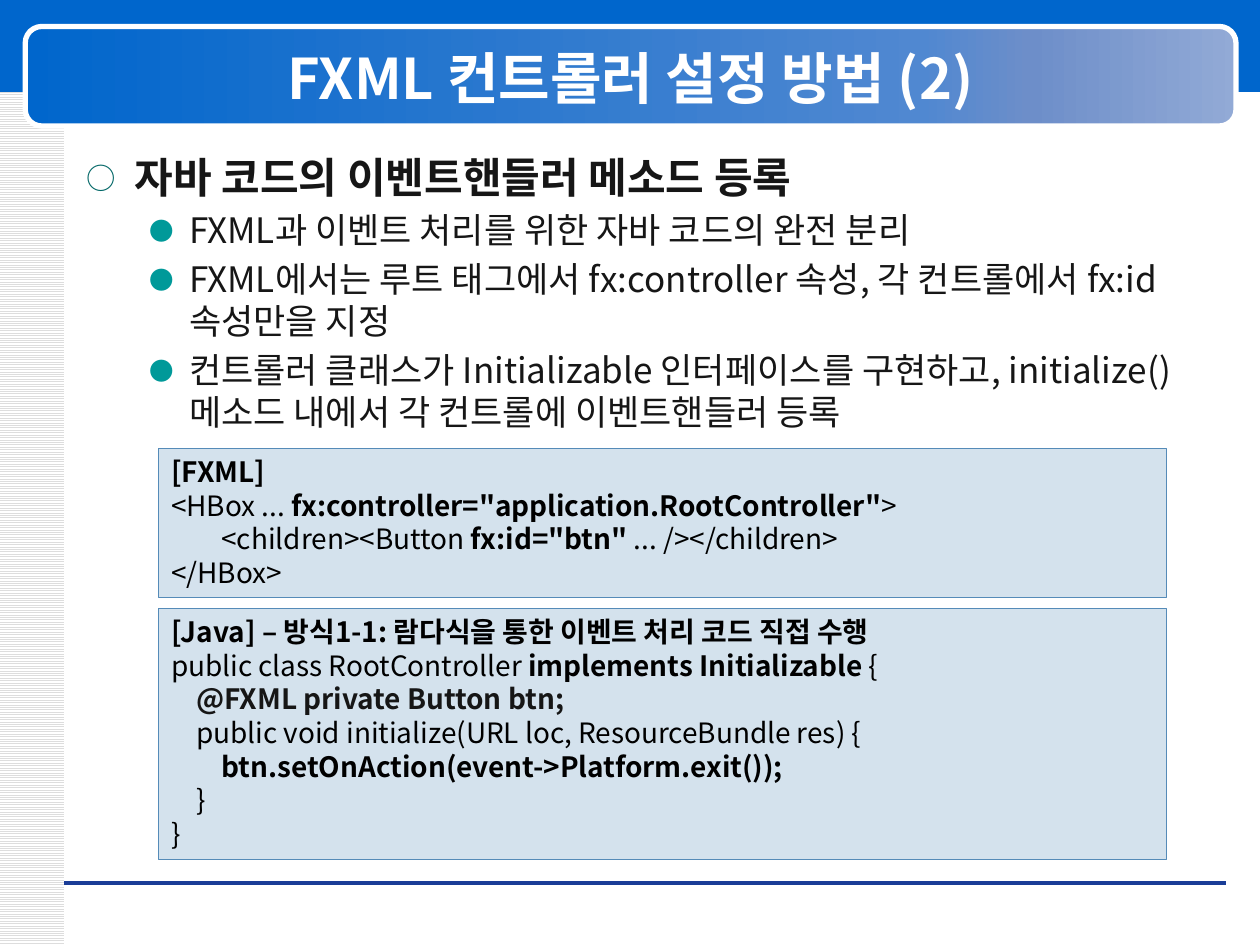
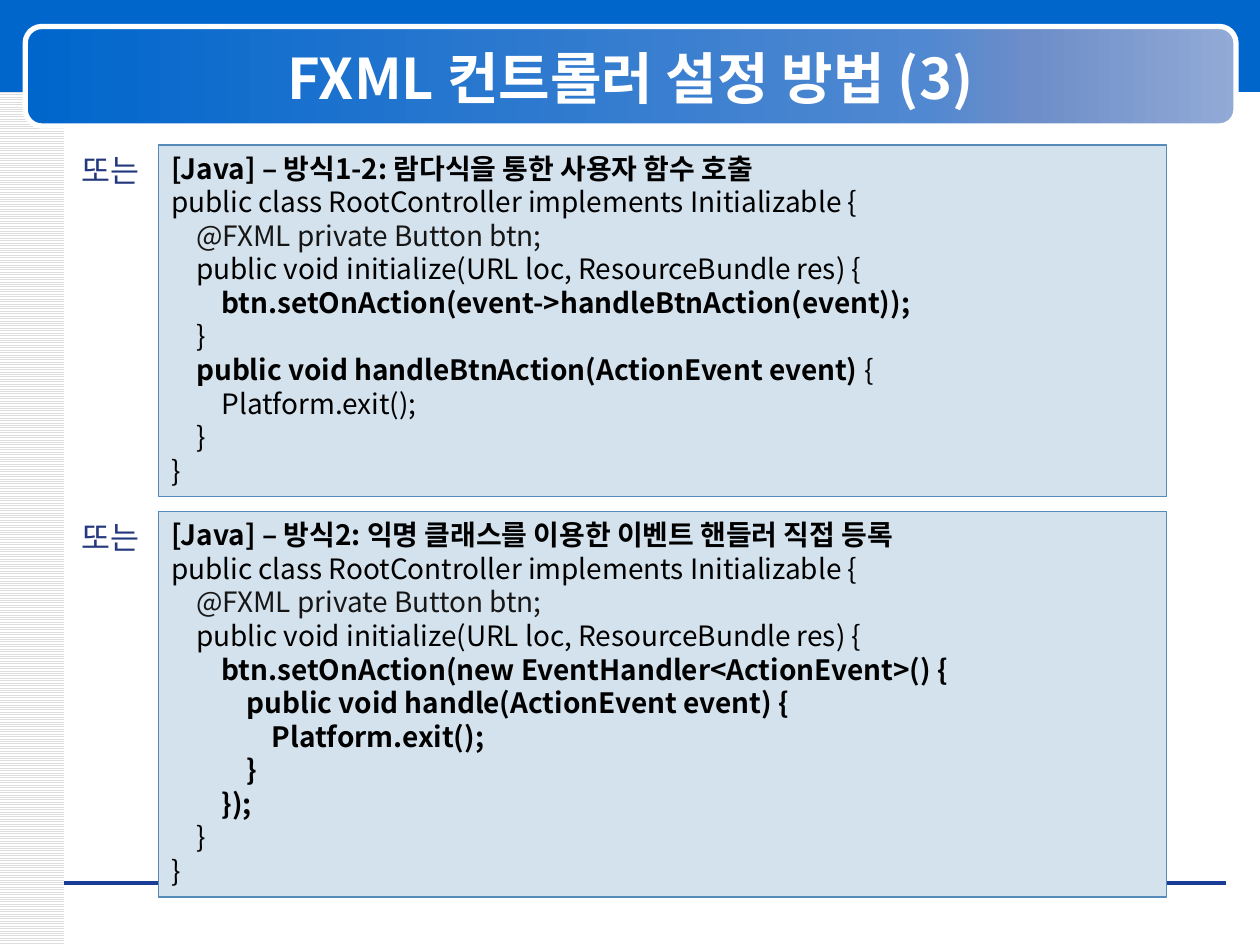
from lxml import etree
from pptx import Presentation
from pptx import util as u
from pptx.dml import color
from pptx.enum import dml, shapes, text
from pptx.oxml import ns

COLORS = {
    "band": "0066CC", "white": "FFFFFF", "stripe": "DDDDDD", "rule": "1A3D97",
    "ink": "161616", "code": "000000", "box": "D4E2ED", "box_line": "558BB8",
    "label": "23387D", "bullet_main": "006666", "bullet_sub": "009999",
}
TITLE_GRADIENT = [(0, "0066CC"), (74, "5088D1"), (83, "6D8EC9"), (100, "92AAD6")]
FONT = "Noto Sans CJK KR"
LABEL_FONT = "DejaVu Sans"
LINE_FACTOR = 1.2
TAB_STEP = 0.2
CODE_LEFT, CODE_WIDTH = 1.26, 8

TOPICS = [
    "FXML과 이벤트 처리를 위한 자바 코드의 완전 분리",
    "FXML에서는 루트 태그에서 fx:controller 속성, 각 컨트롤에서 fx:id 속성만을 지정",
    "컨트롤러 클래스가 Initializable 인터페이스를 구현하고, initialize() 메소드 내에서 각 컨트롤에 이벤트핸들러 등록",
]
FXML_CODE = [
    "**[FXML]**",
    '<HBox ... **fx:controller="application.RootController"**>',
    '\t\t<children><Button **fx:id="btn" **... /></children>',
    "</HBox>",
]
INITIALIZE_LINE = "\tpublic void initialize(URL loc, ResourceBundle res) {"
CLASS_START = [
    "public class RootController implements Initializable {",
    "\t@FXML private Button btn;",
    INITIALIZE_LINE,
]
CLASS_END = ["\t}", "}"]
DIRECT_LAMBDA = [
    "**[Java] – 방식1-1: 람다식을 통한 이벤트 처리 코드 직접 수행**",
    "public class RootController **implements Initializable **{",
    "**\t@FXML private Button btn;**",
    INITIALIZE_LINE,
    "\t\t**btn.setOnAction(event->Platform.exit());**",
    *CLASS_END,
]
METHOD_LAMBDA = [
    "**[Java] – 방식1-2: 람다식을 통한 사용자 함수 호출**",
    *CLASS_START,
    "\t\t**btn.setOnAction(event->handleBtnAction(event));**",
    "\t}",
    "\t**public void handleBtnAction(ActionEvent event) **{",
    "\t\tPlatform.exit();",
    *CLASS_END,
]
ANONYMOUS_CLASS = [
    "**[Java] – 방식2: 익명 클래스를 이용한 이벤트 핸들러 직접 등록**",
    *CLASS_START,
    "\t\t**btn.setOnAction(new EventHandler<ActionEvent>() {**",
    "**\t\t\tpublic void handle(ActionEvent event) {**",
    "**\t\t\t\tPlatform.exit();**",
    "**\t\t\t}**",
    "**\t\t});**",
    *CLASS_END,
]


def rgb(name):
    return color.RGBColor.from_string(COLORS[name])


def place(shape, left, top, width, height):
    shape.left, shape.top = u.Inches(left), u.Inches(top)
    shape.width, shape.height = u.Inches(width), u.Inches(height)


def add_child(parent, tag, **attributes):
    return etree.SubElement(parent, ns.qn(tag), {key: str(value) for key, value in attributes.items()})


def write_paragraph(frame, content, size=16, ink="code", font=FONT,
                    align=text.PP_ALIGN.LEFT, level=0, space_before=0):
    first = frame.paragraphs[0]
    paragraph = frame.add_paragraph() if first.runs else first
    paragraph.alignment = align
    paragraph.level = level
    paragraph.line_spacing = u.Pt(size * LINE_FACTOR)
    paragraph.space_before = u.Pt(space_before)
    for index, part in enumerate(content.split("**")):
        if part:
            run = paragraph.add_run()
            run.text = part
            run.font.size = u.Pt(size)
            run.font.bold = index % 2 == 1
            run.font.name = font
            run.font.color.rgb = rgb(ink)
            add_child(run.font._element, "a:ea", typeface=font)
    return paragraph


def set_bullet(paragraph, mark, mark_color, margin, hanging):
    properties = paragraph._p.get_or_add_pPr()
    properties.set("marL", str(u.Inches(margin)))
    properties.set("indent", str(-u.Inches(hanging)))
    add_child(add_child(properties, "a:buClr"), "a:srgbClr", val=COLORS[mark_color])
    add_child(properties, "a:buSzPct", val=70000)
    add_child(properties, "a:buFont", typeface=FONT)
    add_child(properties, "a:buChar", char=mark)


def set_tabs(paragraph):
    tabs = add_child(paragraph._p.get_or_add_pPr(), "a:tabLst")
    for step in range(1, 5):
        add_child(tabs, "a:tab", pos=u.Inches(step * TAB_STEP), algn="l")


def add_box(slide, left, top, width, height, fill=None, line=None, line_width=0.75,
            kind=shapes.MSO_SHAPE.RECTANGLE):
    box = slide.shapes.add_shape(kind, *map(u.Inches, (left, top, width, height)))
    box.shadow.inherit = False
    if fill:
        box.fill.solid()
        box.fill.fore_color.rgb = rgb(fill)
    if line:
        box.line.color.rgb = rgb(line)
        box.line.width = u.Pt(line_width)
    else:
        box.line.fill.background()
    return box


def fill_title_gradient(box):
    box.fill.gradient()
    box.fill.gradient_angle = 0
    stops = box._element.spPr.find(".//" + ns.qn("a:gsLst"))
    stops.clear()
    for position, value in TITLE_GRADIENT:
        add_child(add_child(stops, "a:gs", pos=position * 1000), "a:srgbClr", val=value)


def build_master_frame(presentation, slide):
    stripes = add_box(slide, 0, 0, 0.51, 7.5)
    stripes.fill.patterned()
    stripes.fill.pattern = dml.MSO_PATTERN.LIGHT_HORIZONTAL
    stripes.fill.fore_color.rgb = rgb("stripe")
    stripes.fill.back_color.rgb = rgb("white")
    band = add_box(slide, 0, -0.03, 10, 0.76, fill="band")
    rule = slide.shapes.add_connector(
        shapes.MSO_CONNECTOR.STRAIGHT, *map(u.Inches, (0.51, 7.01, 9.73, 7.01)))
    rule.line.color.rgb = rgb("rule")
    rule.line.width = u.Pt(0)
    add_child(rule._element.spPr, "a:effectLst")
    title_bar = add_box(slide, 0.2, 0.21, 9.61, 0.79, line="white", line_width=3,
                        kind=shapes.MSO_SHAPE.ROUNDED_RECTANGLE)
    title_bar.adjustments[0] = 0.167
    fill_title_gradient(title_bar)
    master_tree = presentation.slide_master.shapes._spTree
    for index, part in enumerate((stripes, band, rule, title_bar)):
        part._element.xpath(".//p:cNvPr")[0].set("id", str(100 + index))
        master_tree.insert(2 + index, part._element)


def add_titled_slide(presentation, layout_index, title):
    slide = presentation.slides.add_slide(presentation.slide_layouts[layout_index])
    holder = slide.shapes.title
    place(holder, 0.28, 0.3, 9.45, 0.62)
    frame = holder.text_frame
    frame.auto_size = text.MSO_AUTO_SIZE.NONE
    frame.vertical_anchor = text.MSO_ANCHOR.MIDDLE
    write_paragraph(frame, f"**{title}**", size=32, ink="white", align=text.PP_ALIGN.CENTER)
    return slide


def fill_topics(slide, heading, topics):
    body = slide.placeholders[1]
    place(body, 0.59, 1.15, 8.9, 5.75)
    frame = body.text_frame
    frame.auto_size = text.MSO_AUTO_SIZE.NONE
    paragraph = write_paragraph(frame, f"**{heading}**", size=24, ink="ink", space_before=4.8)
    set_bullet(paragraph, "○", "bullet_main", 0.38, 0.38)
    for topic in topics:
        paragraph = write_paragraph(frame, topic, size=20, ink="ink", level=1, space_before=4)
        set_bullet(paragraph, "●", "bullet_sub", 0.81, 0.31)


def add_code(slide, top, height, lines):
    box = add_box(slide, CODE_LEFT, top, CODE_WIDTH, height, fill="box", line="box_line")
    frame = box.text_frame
    frame.word_wrap = True
    frame.vertical_anchor = text.MSO_ANCHOR.TOP
    for line in lines:
        set_tabs(write_paragraph(frame, line, ink="ink" if "@FXML" in line else "code"))


def add_label(slide, top, content):
    label = slide.shapes.add_textbox(*map(u.Inches, (0.55, top, 0.71, 0.4)))
    label.text_frame.word_wrap = False
    label.text_frame.auto_size = text.MSO_AUTO_SIZE.SHAPE_TO_FIT_TEXT
    write_paragraph(label.text_frame, content, size=18, ink="label", font=LABEL_FONT)


def main():
    presentation = Presentation()
    presentation.slide_width, presentation.slide_height = u.Inches(10), u.Inches(7.5)

    slide = add_titled_slide(presentation, 1, "FXML 컨트롤러 설정 방법 (2)")
    build_master_frame(presentation, slide)
    fill_topics(slide, "자바 코드의 이벤트핸들러 메소드 등록", TOPICS)
    add_code(slide, 3.56, 1.18, FXML_CODE)
    add_code(slide, 4.83, 1.99, DIRECT_LAMBDA)

    slide = add_titled_slide(presentation, 5, "FXML 컨트롤러 설정 방법 (3)")
    for top, height, lines in ((1.15, 2.79, METHOD_LAMBDA), (4.06, 3.06, ANONYMOUS_CLASS)):
        add_code(slide, top, height, lines)
        add_label(slide, top, "또는")

    presentation.save("out.pptx")


if __name__ == "__main__":
    main()
